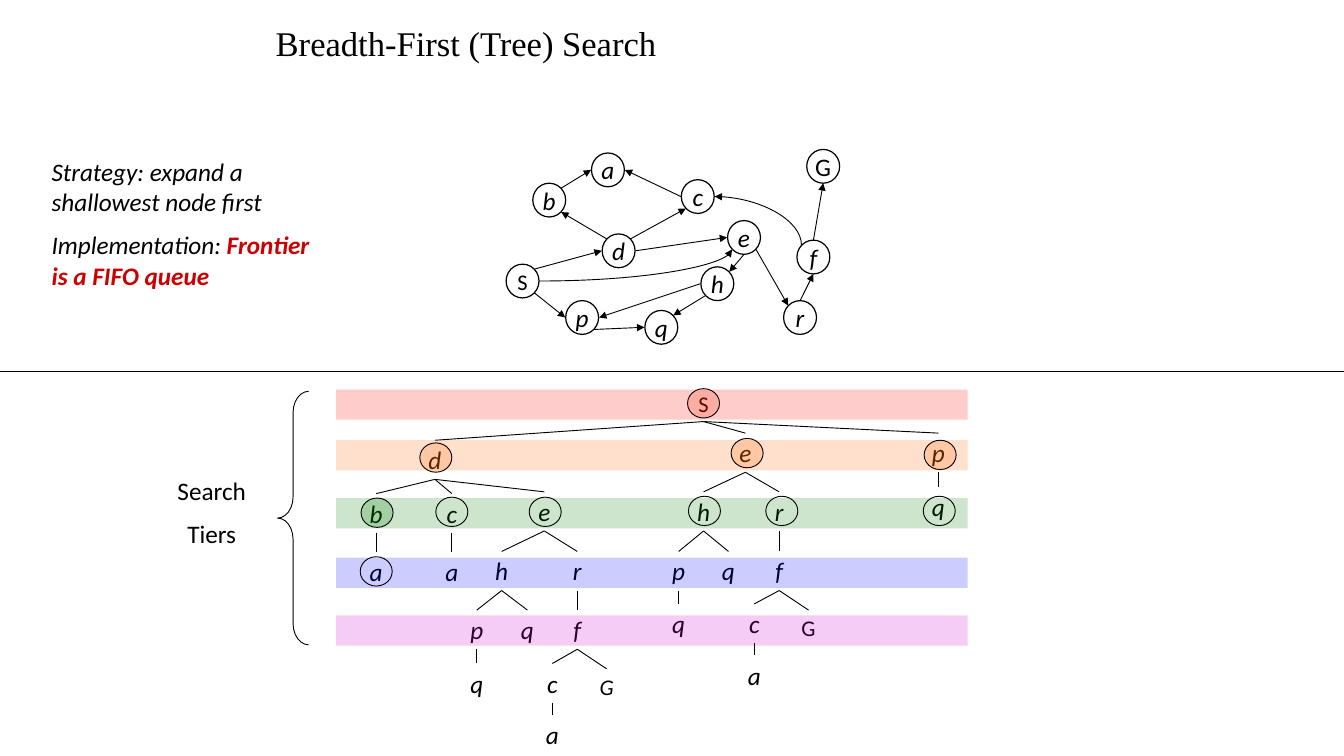
from math import cos, radians, sin

from lxml import etree
from pptx import Presentation
from pptx import util as u
from pptx.dml.color import RGBColor
from pptx.enum import shapes, text
from pptx.oxml.ns import qn

CELL = u.Inches(0.1)  # grid step: every length below counts these cells
COLS, ROWS = 151.1, 85
SHAPE, ALIGN = shapes.MSO_SHAPE, text.PP_ALIGN
ITALIC, UPRIGHT = dict(size=20.4, italic=True), dict(size=20.4)
SMALL, SMALL_ITALIC = dict(size=18.1), dict(size=18.1, italic=True)

RED, ORANGE, GREEN = "FF0000", "FF6600", "008000"
TIERS = [(43.8, RED), (49.5, ORANGE), (56, GREEN), (62.7, "0000FF"), (69.2, "CC00CC")]

# id (label first): centre column, top row, parent, format
TREE = {
    "S": (79.1, 43.4, None, SMALL),
    "d": (48.9, 49.5, "S", ITALIC), "e": (83.8, 48.7, "S", ITALIC),
    "p": (105.5, 48.7, "S", ITALIC), "q": (105.5, 54.8, "p", ITALIC),
    "b": (42.3, 55.5, "d", ITALIC), "a1": (42.3, 62.1, "b", ITALIC),
    "c1": (50.8, 55.5, "d", ITALIC), "a2": (50.8, 62.1, "c1", ITALIC),
    "e1": (61.2, 55.3, "d", ITALIC), "h1": (56.4, 62, "e1", ITALIC),
    "r1": (64.9, 62, "e1", ITALIC), "p1": (53.6, 68.6, "h1", ITALIC),
    "q1": (59.3, 68.6, "h1", ITALIC), "f1": (64.9, 68.6, "r1", ITALIC),
    "q2": (53.6, 74.6, "p1", ITALIC), "c2": (62.1, 74.6, "f1", ITALIC),
    "G1": (68.2, 75.2, "f1", SMALL_ITALIC), "a3": (62.1, 80.4, "c2", ITALIC),
    "h2": (79.1, 55.3, "e", ITALIC), "r2": (87.6, 55.3, "e", ITALIC),
    "p2": (76.3, 62, "h2", ITALIC), "q3": (81.9, 62, "h2", ITALIC),
    "f2": (87.6, 62, "r2", ITALIC), "q4": (76.3, 67.9, "p2", ITALIC),
    "c3": (84.8, 67.9, "f2", ITALIC), "G2": (90.9, 68.6, "f2", SMALL),
    "a4": (84.8, 73.7, "c3", ITALIC),
}
# left, top, tint
VISITED = [
    (77.3, 43.7, "FF3300"), (47.2, 49.8, ORANGE), (82.2, 49.3, ORANGE),
    (103.9, 49.5, ORANGE), (40.6, 56, GREEN), (49, 55.9, None), (59.5, 55.9, None),
    (77.4, 55.8, None), (86.1, 55.8, None), (103.8, 55.8, None), (40.5, 62.6, None),
]

GRAPH = {
    "S": (58.75, 31.6), "G": (92.55, 18.7), "d": (69.55, 28.2), "b": (61.75, 22.5),
    "p": (65.45, 35.7), "q": (74.35, 36.8), "c": (78.45, 22.1), "e": (83.65, 26.7),
    "h": (80.65, 31.9), "a": (68.35, 19.1), "f": (91.45, 28.9), "r": (89.95, 35.7),
}
GRAPH_FORMAT = {"S": SMALL, "G": UPRIGHT}
RADIUS = 1.9
ANGLE = {d: 45 * i for i, d in enumerate(["E", "SE", "S", "SW", "W", "NW", "N", "NE"])}
# from, side it leaves, to, side it enters
ARROWS = [
    "S SE p W", "p SE q W", "h SW q NE", "h W p E", "e S h NE", "e SE r NW",
    "r N f S", "f N G S", "S NE d W", "d NW b SE", "b NE a W", "c W a E",
    "d NE c SW", "d E e W",
]


def color(hex_value):
    return RGBColor.from_string(hex_value)


def cells(*lengths):
    return [u.Emu(round(n * CELL)) for n in lengths]


def rim(node, side):
    """Point on a graph node's circle at a compass side."""
    (x, y), angle = GRAPH[node], radians(ANGLE[side])
    return x + RADIUS * cos(angle), y + RADIUS * sin(angle)


class Deck:
    def __init__(self):
        self.prs = Presentation()
        self.prs.slide_width, self.prs.slide_height = cells(COLS, ROWS)
        self.slide = self.prs.slides.add_slide(self.prs.slide_layouts[5])
        self.shapes = self.slide.shapes

    def group(self):
        self.shapes = self.slide.shapes.add_group_shape().shapes

    def ungroup(self):
        self.shapes = self.slide.shapes

    def fill_text(self, tf, paragraphs, align=ALIGN.CENTER):
        """Fill a text frame from paragraphs, each a list of (text, format)."""
        for i, runs in enumerate(paragraphs):
            p = tf.add_paragraph() if i else tf.paragraphs[0]
            p.alignment = align
            if i:
                p.space_before = u.Pt(10.2)
            for words, fmt in runs:
                r = p.add_run()
                r.text = words
                style = {"name": "Calibri", "color": "000000", **fmt}
                r.font.color.rgb = color(style.pop("color"))
                style["size"] = u.Pt(style["size"])
                for key, value in style.items():
                    setattr(r.font, key, value)

    def title(self, box, words, fmt):
        sp = self.slide.shapes.title
        sp.left, sp.top, sp.width, sp.height = cells(*box)
        tf = sp.text_frame
        for side in ("left", "top", "right", "bottom"):
            setattr(tf, f"margin_{side}", 0)
        tf.vertical_anchor = text.MSO_ANCHOR.TOP
        self.fill_text(tf, [[(words, fmt)]], ALIGN.LEFT)

    def text(self, box, paragraphs, align=ALIGN.CENTER):
        tf = self.shapes.add_textbox(*cells(*box)).text_frame
        tf.word_wrap = True
        tf.auto_size = text.MSO_AUTO_SIZE.SHAPE_TO_FIT_TEXT
        self.fill_text(tf, paragraphs, align)
        return tf

    def shape(self, kind, box, tint=None, line=0.75):
        """Preset shape with a 20 % opaque tint or no fill."""
        sp = self.shapes.add_shape(kind, *cells(*box))
        sp.shadow.inherit = False
        if tint:
            sp.fill.solid()
            sp.fill.fore_color.rgb = color(tint)
            rgb = sp._element.spPr.find(".//" + qn("a:srgbClr"))
            etree.SubElement(rgb, qn("a:alpha"), val="20000")
        else:
            sp.fill.background()
        if line:
            sp.line.color.rgb = color("000000")
            sp.line.width = u.Pt(line)
        else:
            sp.line.fill.background()
        return sp

    def line(self, start, end, arrow=None, curved=False):
        """Connector; arrow is headEnd or tailEnd, a curve leaves sideways."""
        kind = shapes.MSO_CONNECTOR.CURVE if curved else shapes.MSO_CONNECTOR.STRAIGHT
        cx = self.shapes.add_connector(kind, *cells(*start, *end))
        cx.line.color.rgb = color("000000")
        cx.line.width = u.Pt(0.75)
        sp_pr = cx._element.spPr
        if curved:
            sp_pr.find(qn("a:prstGeom")).set("prst", "curvedConnector2")
        if arrow:
            etree.SubElement(sp_pr.find(qn("a:ln")), qn(f"a:{arrow}"), type="triangle")
        etree.SubElement(sp_pr, qn("a:effectLst"))


def draw_tree(deck):
    deck.group()
    for node, (x, top, parent, fmt) in TREE.items():
        width, height = (4.7, 4.4) if fmt is ITALIC else (9.4, 4.1)
        deck.text((x - width / 2, top, width, height), [[(node[0], fmt)]])
        if parent:
            parent_x, parent_top, _, parent_fmt = TREE[parent]
            bottom = parent_top + (4.4 if parent_fmt is ITALIC else 4)
            deck.line((parent_x, bottom), (x, top))


def draw_graph(deck):
    deck.group()
    for node, (x, y) in GRAPH.items():
        box = (x - 1.85, y - RADIUS, 3.7, 2 * RADIUS)
        tf = deck.shape(SHAPE.FLOWCHART_CONNECTOR, box, line=1).text_frame
        tf.word_wrap = False
        tf.vertical_anchor = text.MSO_ANCHOR.MIDDLE
        deck.fill_text(tf, [[(node, GRAPH_FORMAT.get(node, ITALIC))]])
    for arrow in ARROWS:
        source, leave, target, enter = arrow.split()
        deck.line(rim(source, leave), rim(target, enter), "tailEnd")
    deck.line(rim("c", "E"), rim("f", "NW"), "headEnd", curved=True)
    deck.line(rim("S", "E"), rim("e", "SW"), "tailEnd", curved=True)


def draw_tiers(deck):
    deck.group()
    for top, tint in TIERS:
        deck.shape(SHAPE.RECTANGLE, (37.8, top, 71, 3.4), tint, line=None)
    brace = deck.shape(SHAPE.LEFT_BRACE, (31.2, 44, 3.5, 28.5))
    brace.adjustments[0] = 0.68
    deck.text((17.9, 53, 11.8, 9.6), [[("Search", UPRIGHT)], [("Tiers", UPRIGHT)]])
    deck.ungroup()
    for left, top, tint in VISITED:
        deck.shape(SHAPE.OVAL, (left, top, 3.6, 3.3), tint)


def main():
    deck = Deck()
    deck.title((31, 2.5, 71, 4.7), "Breadth-First (Tree) Search",
               dict(name="Times New Roman", size=28))
    draw_tree(deck)
    draw_graph(deck)
    draw_tiers(deck)
    deck.line((0, 41.8), (COLS, 41.8))
    strategy = deck.text((4.7, 17, 31.2, 16.6), [
        [("Strategy: expand a shallowest node first", ITALIC)],
        [("Implementation: ", ITALIC),
         ("Frontier is a FIFO queue", dict(ITALIC, bold=True, color="CC0000"))],
    ], ALIGN.LEFT)
    strategy.margin_left = strategy.margin_right = u.Inches(0.11)
    strategy.margin_top = strategy.margin_bottom = u.Inches(0.06)
    deck.prs.save("out.pptx")


if __name__ == "__main__":
    main()
